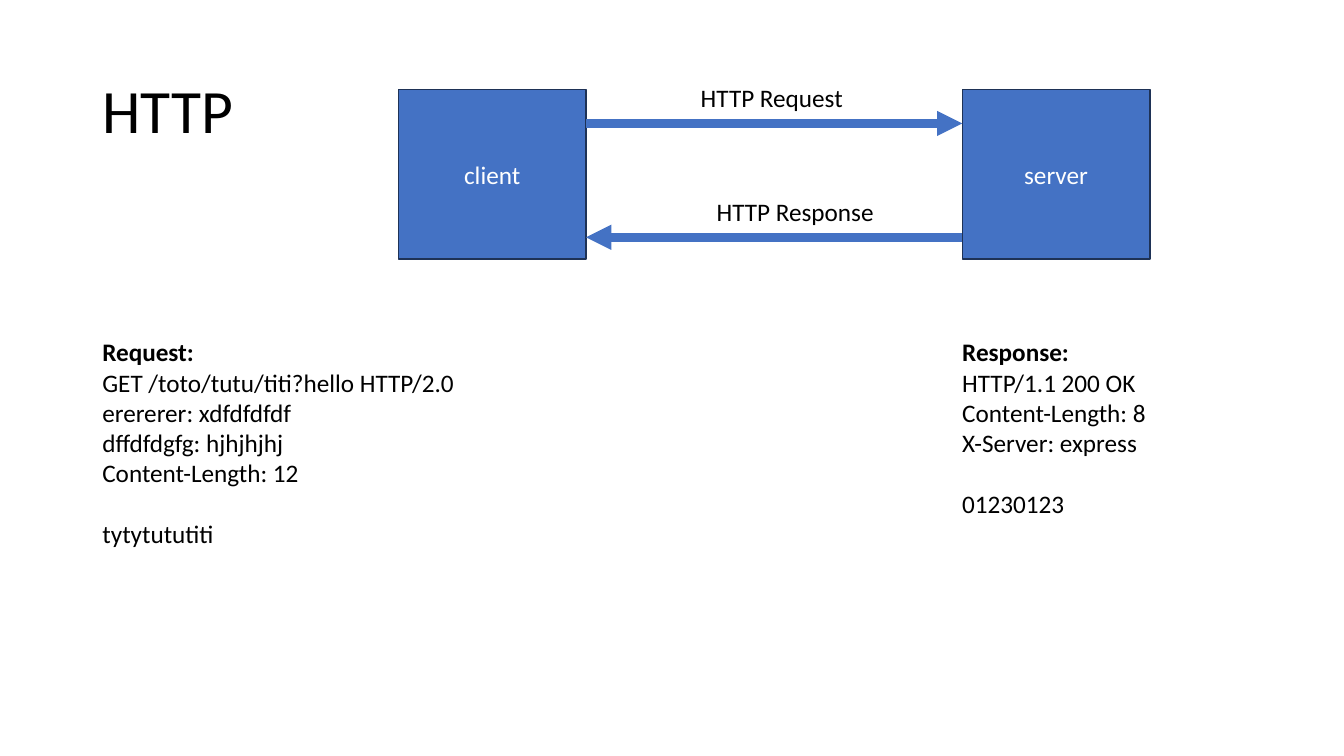
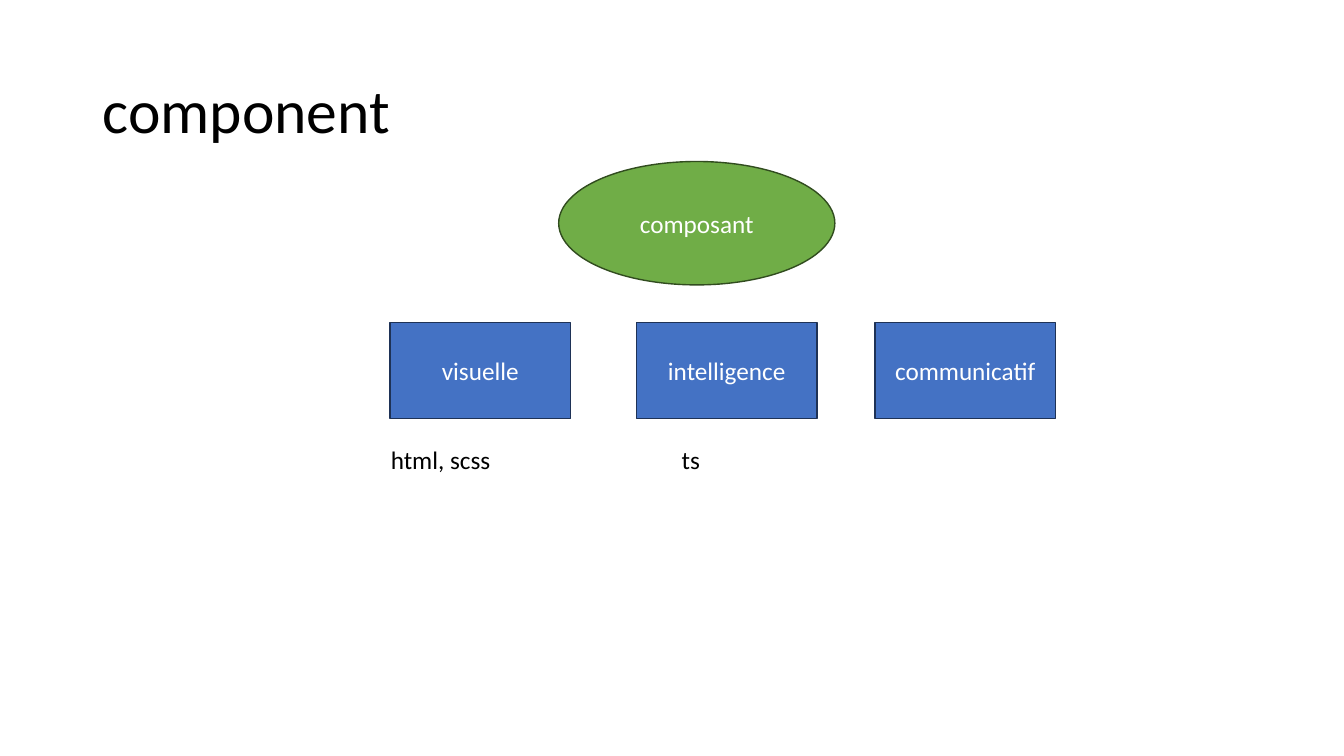
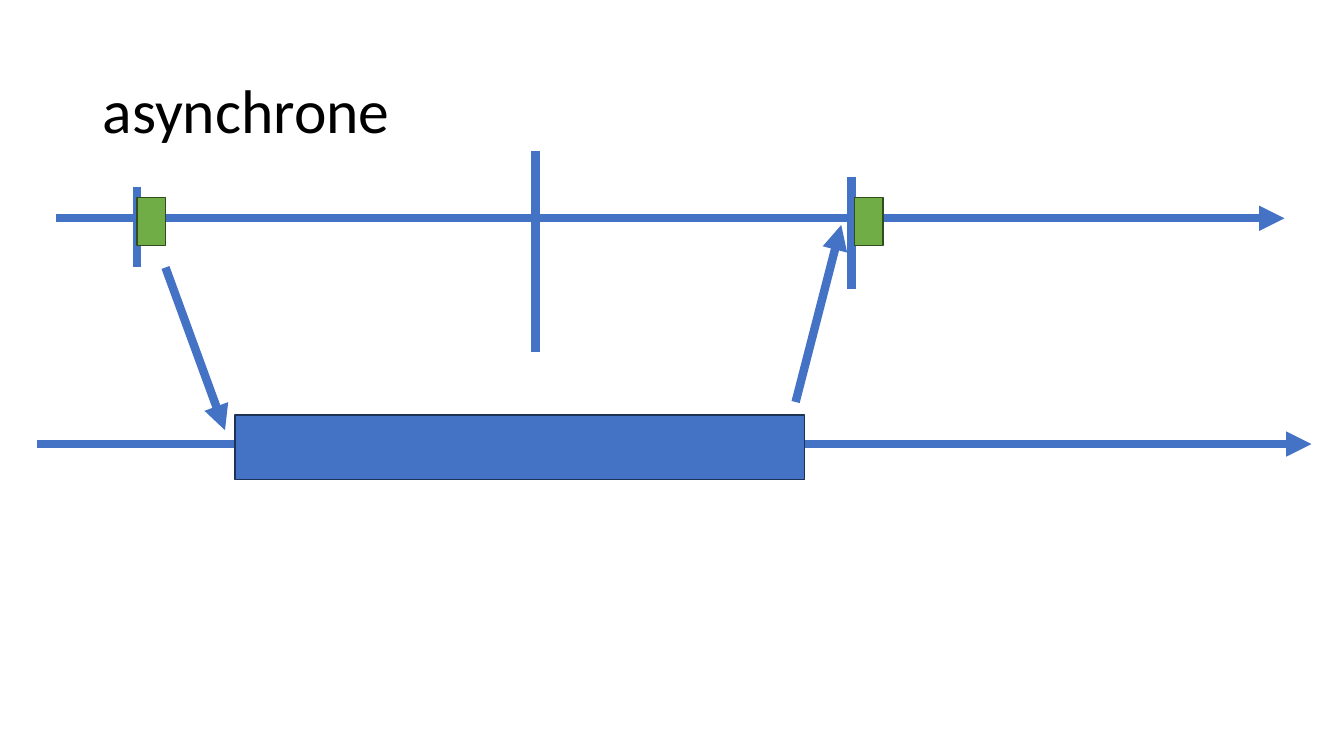
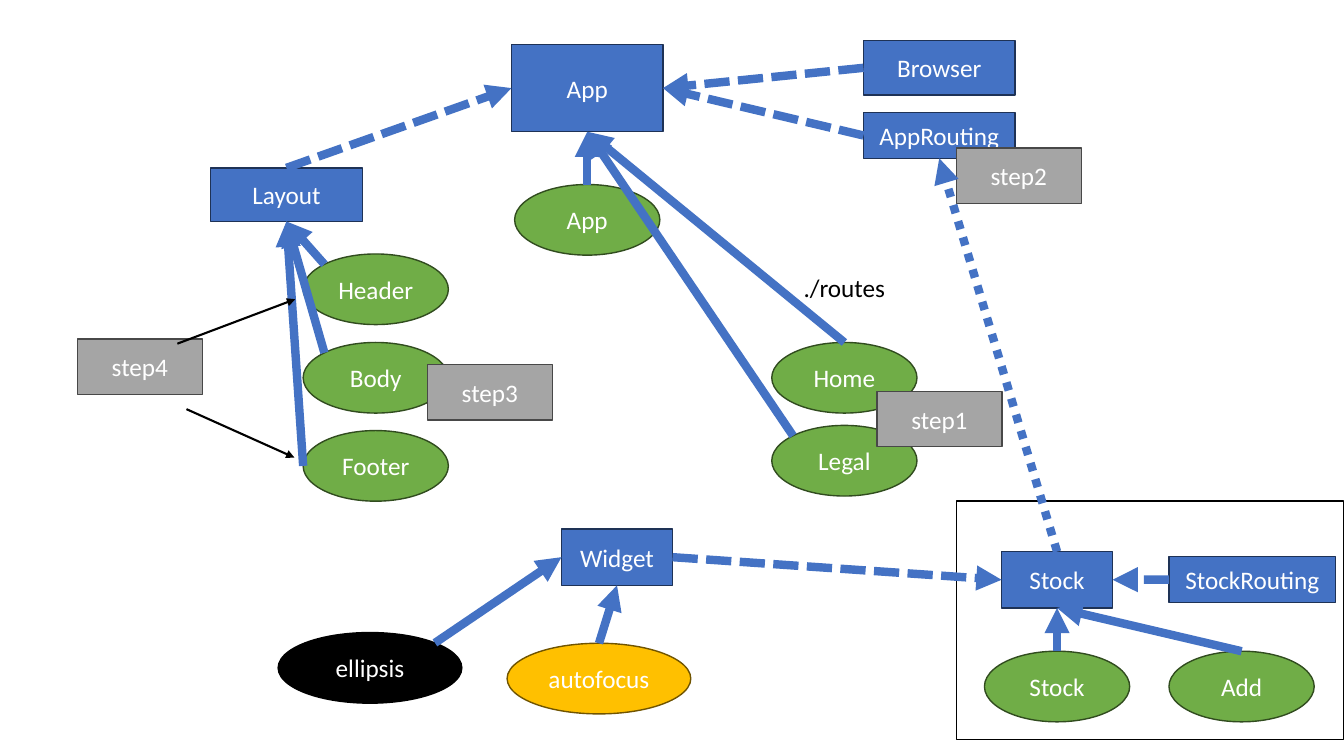
import pptx
import pptx.dml.color
import pptx.enum.dml
import pptx.enum.shapes
import pptx.enum.text
import pptx.oxml.ns
import pptx.util
from lxml import etree

Cm = pptx.util.Cm
Pt = pptx.util.Pt
Dash = pptx.enum.dml.MSO_LINE
Preset = pptx.enum.shapes.MSO_SHAPE
Anchor = pptx.enum.text.MSO_ANCHOR
Align = pptx.enum.text.PP_ALIGN
AutoSize = pptx.enum.text.MSO_AUTO_SIZE
qn = pptx.oxml.ns.qn

COLORS = {
    "blue": "4472C4", "blue edge": "1E3256",
    "green": "70AD47", "green edge": "314C1F",
    "gray": "A5A5A5", "gray edge": "484848",
    "gold": "FFC000", "gold edge": "705400",
    "black": "000000", "black edge": "000000",
    "white": "FFFFFF", "white edge": "000000",
}
TOP, LEFT, BOTTOM, RIGHT = range(4)
DIAGONAL = 0.5 ** 0.5


class Deck:
    font = "Calibri"
    text_size = 18
    title_size = 44
    line_height = 22

    def __init__(self):
        self.prs = pptx.Presentation()
        self.prs.slide_width, self.prs.slide_height = Cm(33.87), Cm(19.05)
        self.slide = None

    def color(self, name):
        return pptx.dml.color.RGBColor.from_string(COLORS[name])

    def style(self, paragraph, size, color, bold=False):
        for run in paragraph.runs:
            run.font.name = self.font
            run.font.size = Pt(size)
            run.font.bold = bold
            run.font.color.rgb = self.color(color)

    def add_slide(self, title=None):
        layout = self.prs.slide_layouts[5 if title else 6]
        self.slide = self.prs.slides.add_slide(layout)
        if title:
            heading = self.slide.shapes.title
            heading.left, heading.top = Cm(2.33), Cm(1.01)
            heading.width, heading.height = Cm(29.21), Cm(3.68)
            frame = heading.text_frame
            frame.text = title
            frame.auto_size = AutoSize.NONE
            frame.vertical_anchor = Anchor.MIDDLE
            paragraph = frame.paragraphs[0]
            paragraph.alignment = Align.LEFT
            paragraph.line_spacing = 0.9
            self.style(paragraph, self.title_size, "black")

    def box(self, x, y, width, height, label="", color="blue", preset=Preset.RECTANGLE):
        shape = self.slide.shapes.add_shape(preset, Cm(x), Cm(y), Cm(width), Cm(height))
        shape.shadow.inherit = False
        shape.fill.solid()
        shape.fill.fore_color.rgb = self.color(color)
        shape.line.color.rgb = self.color(color + " edge")
        shape.line.width = Pt(1)
        if label:
            frame = shape.text_frame
            frame.text = label
            frame.vertical_anchor = Anchor.MIDDLE
            frame.paragraphs[0].alignment = Align.CENTER
            self.style(frame.paragraphs[0], self.text_size, "white")
        return shape

    def oval(self, x, y, label, width=3.66, height=1.78, color="green"):
        return self.box(x, y, width, height, label, color, Preset.OVAL)

    def text(self, x, y, width, height, lines, headed=False, body=None):
        frame = self.slide.shapes.add_textbox(
            Cm(x), Cm(y), Cm(width), Cm(height)).text_frame
        frame.word_wrap = False
        frame.auto_size = AutoSize.SHAPE_TO_FIT_TEXT
        frame.text = "\n".join(lines + ([body] if body else []))
        for index, paragraph in enumerate(frame.paragraphs):
            self.style(paragraph, self.text_size, "black", headed and index == 0)
        if body:
            frame.paragraphs[-1].space_before = Pt(self.line_height)

    def line(self, start, end, arrow=True, dash=None, color="blue", weight=6):
        points = [Cm(0), Cm(0)]
        ends = [start, end]
        glued = [isinstance(stop[0], pptx.shapes.autoshape.Shape) for stop in ends]
        coords = [points if joined else [Cm(value) for value in stop]
                  for stop, joined in zip(ends, glued)]
        connector = self.slide.shapes.add_connector(
            pptx.enum.shapes.MSO_CONNECTOR.STRAIGHT, *coords[0], *coords[1])
        if glued[0]:
            connector.begin_connect(*start)
        if glued[1]:
            connector.end_connect(*end)
        connector.line.color.rgb = self.color(color)
        connector.line.width = Pt(weight)
        if dash:
            connector.line.dash_style = dash
        properties = connector.element.spPr
        if arrow:
            etree.SubElement(properties.find(qn("a:ln")), qn("a:tailEnd"), type="triangle")
        etree.SubElement(properties, qn("a:effectLst"))


def rim(oval, across, up):
    x = oval.left + oval.width * (1 + across) / 2
    y = oval.top + oval.height * (1 - up) / 2
    return x / Cm(1), y / Cm(1)


deck = Deck()

deck.add_slide("HTTP")
client_right, server_left = 14.77, 24.25
request_y, response_y = 3.11, 5.98
for x, label in ((10.04, "client"), (server_left, "server")):
    deck.box(x, 2.25, 4.73, 4.28, label)
deck.line((client_right, request_y), (server_left, request_y))
deck.line((server_left, response_y), (client_right, response_y))
deck.text(17.41, 1.95, 4.15, 1.03, ["HTTP Request"])
deck.text(17.81, 4.83, 4.53, 1.03, ["HTTP Response"])
deck.text(2.33, 8.36, 9.48, 6.41, [
    "Request:",
    "GET /toto/tutu/titi?hello HTTP/2.0",
    "erererer: xdfdfdfdf",
    "dffdfdgfg: hjhjhjhj",
    "Content-Length: 12",
], headed=True, body="tytytututiti")
deck.text(24, 8.36, 5.2, 5.63, [
    "Response:",
    "HTTP/1.1 200 OK",
    "Content-Length: 8",
    "X-Server: express",
], headed=True, body="01230123")

deck.add_slide("component")
deck.oval(14.08, 4.07, "composant", 6.96, 3.11)
for x, label in ((9.83, "visuelle"), (16.04, "intelligence"), (22.05, "communicatif")):
    deck.box(x, 8.13, 4.55, 2.42, label)
deck.text(9.6, 11.07, 3.05, 1.03, ["html, scss"])
deck.text(16.93, 11.07, 0.97, 1.03, ["ts"])

deck.add_slide("asynchrone")
main_y, background_y = 5.5, 11.19
deck.line((1.42, main_y), (32.37, main_y))
for x, top, bottom in ((3.45, 4.7, 6.74), (13.49, 3.81, 8.88), (21.46, 4.45, 7.27)):
    deck.line((x, top), (x, bottom), arrow=False)
deck.line((4.17, 6.74), (5.67, 10.84))
deck.line((0.92, background_y), (33.05, background_y))
deck.box(5.92, 10.46, 14.36, 1.63)
deck.line((20.05, 10.13), (21.2, 5.67))
for x in (3.45, 21.53):
    deck.box(x, 4.97, 0.72, 1.22, color="green")

deck.add_slide()
deck.box(24.11, 12.63, 9.75, 6, color="white")
app_module = deck.box(12.89, 1.12, 3.82, 2.2, "App")
app = deck.oval(12.97, 4.65, "App")
deck.line((app, TOP), (app_module, BOTTOM))
app_routing = deck.box(21.76, 2.84, 3.82, 1.15, "AppRouting")
browser = deck.box(21.76, 1.02, 3.82, 1.38, "Browser")
for module in (app_routing, browser):
    deck.line((module, LEFT), (app_module, RIGHT), dash=Dash.SQUARE_DOT)

footer, body, header = [
    deck.oval(7.64, y, label)
    for y, label in ((10.85, "Footer"), (8.63, "Body"), (6.4, "Header"))]
layout_module = deck.box(5.31, 4.23, 3.82, 1.35, "Layout")
for start in (rim(header, -DIAGONAL, DIAGONAL), rim(body, -DIAGONAL, DIAGONAL),
              rim(footer, -1, 0)):
    deck.line(start, (layout_module, BOTTOM))
deck.line((layout_module, TOP), (app_module, LEFT), dash=Dash.SQUARE_DOT)

legal = deck.oval(19.45, 10.72, "Legal")
home = deck.oval(19.45, 8.63, "Home")
deck.line((home, TOP), (app_module, BOTTOM))
deck.line(rim(legal, -DIAGONAL, DIAGONAL), (app_module, BOTTOM))
deck.text(20, 6.74, 2.58, 1.03, ["./routes"])

step_places = ((22.1, 9.86), (24.1, 3.73), (10.77, 9.19), (1.95, 8.54))
for number, (x, y) in enumerate(step_places, 1):
    deck.box(x, y, 3.15, 1.4, f"step{number}", "gray")
for start, end in (((4.47, 8.66), (7.44, 7.54)), ((4.7, 10.31), (7.42, 11.53))):
    deck.line(start, end, color="black", weight=1.5)

stock = deck.oval(24.81, 16.41, "Stock")
stock_module = deck.box(25.24, 13.9, 2.8, 1.42, "Stock")
deck.line((stock, TOP), (stock_module, BOTTOM))
stock_routing = deck.box(29.46, 14.03, 4.2, 1.15, "StockRouting")
deck.line((stock_routing, LEFT), (stock_module, RIGHT), dash=Dash.SQUARE_DOT)
deck.line((stock_module, TOP), (app_routing, BOTTOM), dash=Dash.ROUND_DOT)
add = deck.oval(29.46, 16.41, "Add")
deck.line((add, TOP), (stock_module, BOTTOM))

widget_module = deck.box(14.15, 13.33, 2.8, 1.42, "Widget")
autofocus = deck.oval(12.78, 16.21, "autofocus", 4.63, color="gold")
deck.line((autofocus, TOP), (widget_module, BOTTOM))
deck.line((widget_module, RIGHT), (stock_module, LEFT), dash=Dash.SQUARE_DOT)
ellipsis = deck.oval(7.01, 15.94, "ellipsis", 4.63, color="black")
deck.line(rim(ellipsis, DIAGONAL, DIAGONAL), (widget_module, LEFT))

deck.prs.save("out.pptx")
